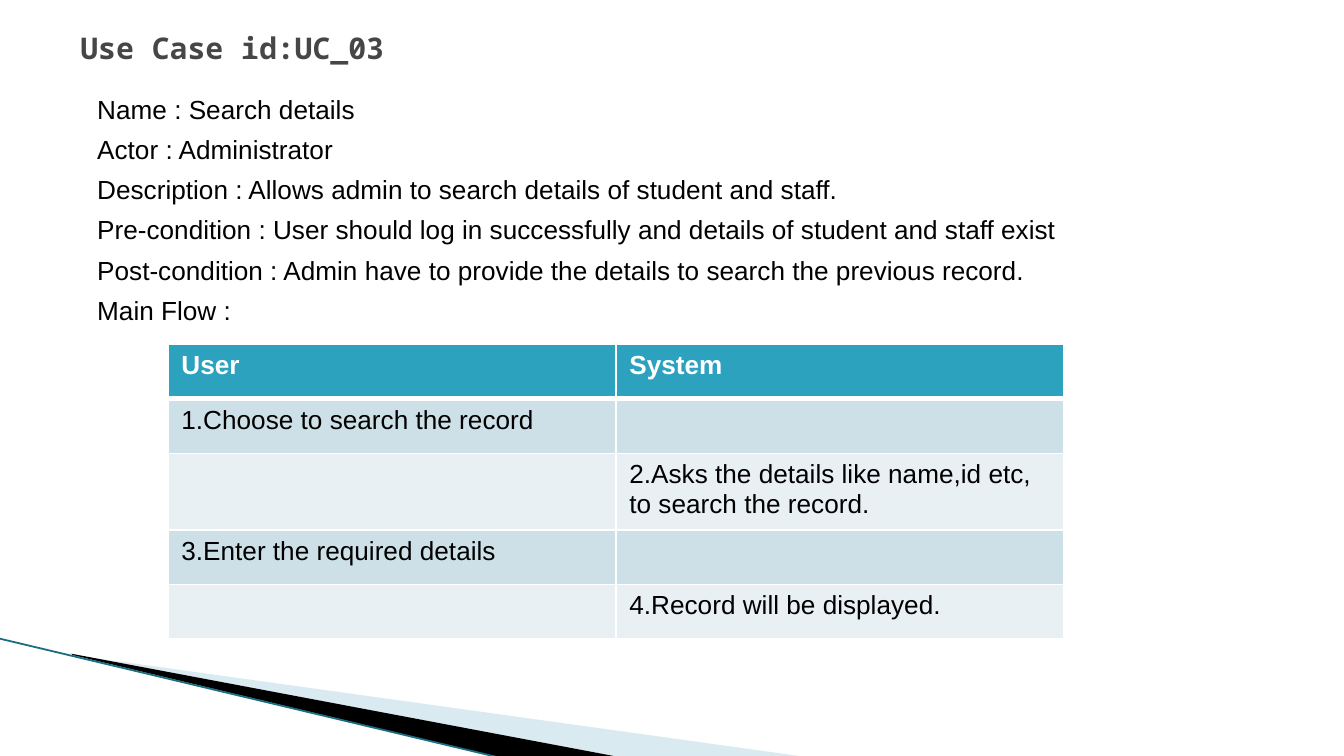
from dataclasses import dataclass

from lxml.etree import SubElement
from pptx import Presentation
from pptx.dml.color import RGBColor
from pptx.enum.shapes import MSO_CONNECTOR as Connector
from pptx.enum.text import MSO_ANCHOR as Anchor
from pptx.oxml.ns import qn
from pptx.util import Pt

PX = 9525  # EMU in one px, 96 px to the inch


@dataclass(frozen=True)
class Theme:
    body_font: str = "Arial"
    title_font: str = "Noto Sans Mono"
    title_size: int = 16
    body_size: int = 14
    title: str = "464646"
    ink: str = "000000"
    white: str = "FFFFFF"
    header: str = "2DA2BF"
    bands: tuple = ("CDE0E8", "E8F0F4")
    pale_wedge: str = "A0CBDC"
    edge: str = "1B6E82"


def write(paragraph, text, *, font, size, color, bold=False, before=0, indent=0):
    """Fill a paragraph with one formatted run."""
    run = paragraph.add_run()
    run.text = text
    run.font.name = font
    run.font.size = Pt(size)
    run.font.bold = bold
    run.font.color.rgb = RGBColor.from_string(color)
    if before:
        paragraph.space_before = Pt(before)
    if indent:
        properties = paragraph._p.get_or_add_pPr()
        properties.set("marL", str(indent * PX))
        properties.set("indent", "0")


class SlideBuilder:
    def __init__(self, slide, theme):
        self.slide = slide
        self.theme = theme

    def text(self, lines, left, top, width, height, anchor=Anchor.TOP, **style):
        box = self.slide.shapes.add_textbox(left * PX, top * PX, width * PX, height * PX)
        frame = box.text_frame
        frame.word_wrap = True
        frame.vertical_anchor = anchor
        for index, line in enumerate(lines):
            paragraph = frame.add_paragraph() if index else frame.paragraphs[0]
            write(paragraph, line, **style)

    def polygon(self, points, color, opacity=100):
        builder = self.slide.shapes.build_freeform(*points[0], scale=PX)
        builder.add_line_segments(points[1:], close=True)
        shape = builder.convert_to_shape()
        shape.shadow.inherit = False
        shape.line.fill.background()
        shape.fill.solid()
        shape.fill.fore_color.rgb = RGBColor.from_string(color)
        if opacity < 100:
            fill_color = shape._element.spPr.find(".//" + qn("a:srgbClr"))
            SubElement(fill_color, qn("a:alpha"), val=str(opacity * 1000))

    def line(self, start, end, color, width):
        ends = [value * PX for value in (*start, *end)]
        connector = self.slide.shapes.add_connector(Connector.STRAIGHT, *ends)
        connector.line.color.rgb = RGBColor.from_string(color)
        connector.line.width = Pt(width)
        SubElement(connector._element.spPr, qn("a:effectLst"))

    def borders(self, cell, bottom):
        properties = cell._tc.get_or_add_tcPr()
        widths = {"a:lnL": 1, "a:lnR": 1, "a:lnT": 1, "a:lnB": bottom}
        for index, (tag, width) in enumerate(widths.items()):
            border = SubElement(properties, qn(tag), w=str(Pt(width)))
            fill = SubElement(border, qn("a:solidFill"))
            SubElement(fill, qn("a:srgbClr"), val=self.theme.white)
            properties.insert(index, border)  # borders come before the fill

    def table(self, rows, left, top, column_width, row_height):
        theme = self.theme
        row_count, column_count = len(rows), len(rows[0])
        table = self.slide.shapes.add_table(
            row_count, column_count, left * PX, top * PX,
            column_width * column_count * PX, row_height * row_count * PX).table
        table.horz_banding = False
        for row_index, row in enumerate(rows):
            is_header = row_index == 0
            fill = theme.header if is_header else theme.bands[(row_index - 1) % 2]
            for column_index, text in enumerate(row):
                cell = table.cell(row_index, column_index)
                cell.fill.solid()
                cell.fill.fore_color.rgb = RGBColor.from_string(fill)
                # The header rule is shared with the top of the first body row
                self.borders(cell, bottom=3 if is_header else 1)
                if text:
                    write(cell.text_frame.paragraphs[0], text, font=theme.body_font,
                          size=theme.body_size, bold=is_header,
                          color=theme.white if is_header else theme.ink)


def main():
    theme = Theme()
    presentation = Presentation()
    presentation.slide_width = 960 * PX
    presentation.slide_height = 540 * PX
    slide = presentation.slides.add_slide(presentation.slide_layouts[6])
    builder = SlideBuilder(slide, theme)

    # Corner decoration
    builder.polygon([(53, 468), (571, 540), (438, 540)], theme.pale_wedge, opacity=40)
    builder.polygon([(51, 467), (438, 540), (357, 541), (52, 468)], theme.ink)
    builder.line((-1, 456), (356, 541), theme.edge, 0.95)

    # Use case details
    builder.text([
        "Name : Search details",
        "Actor : Administrator",
        "Description : Allows admin to search details of student and staff.",
        "Pre-condition : User should log in successfully and details of student and staff exist",
        "Post-condition : Admin have to provide the details to search the previous record.",
        "Main Flow :",
    ], 48, 62, 864, 411, font=theme.body_font, size=theme.body_size,
        color=theme.ink, before=4.7, indent=12)

    # Title
    builder.text(["Use Case id:UC_03"], 48, 14, 864, 40, anchor=Anchor.MIDDLE,
                 font=theme.title_font, size=theme.title_size, color=theme.title, bold=True)

    # Main flow
    builder.table([
        ("User", "System"),
        ("1.Choose to search the record", ""),
        ("", "2.Asks the details like name,id etc, to search the record."),
        ("3.Enter the required details", ""),
        ("", "4.Record will be displayed."),
    ], left=120, top=246, column_width=320, row_height=39)

    presentation.save("out.pptx")


if __name__ == "__main__":
    main()
